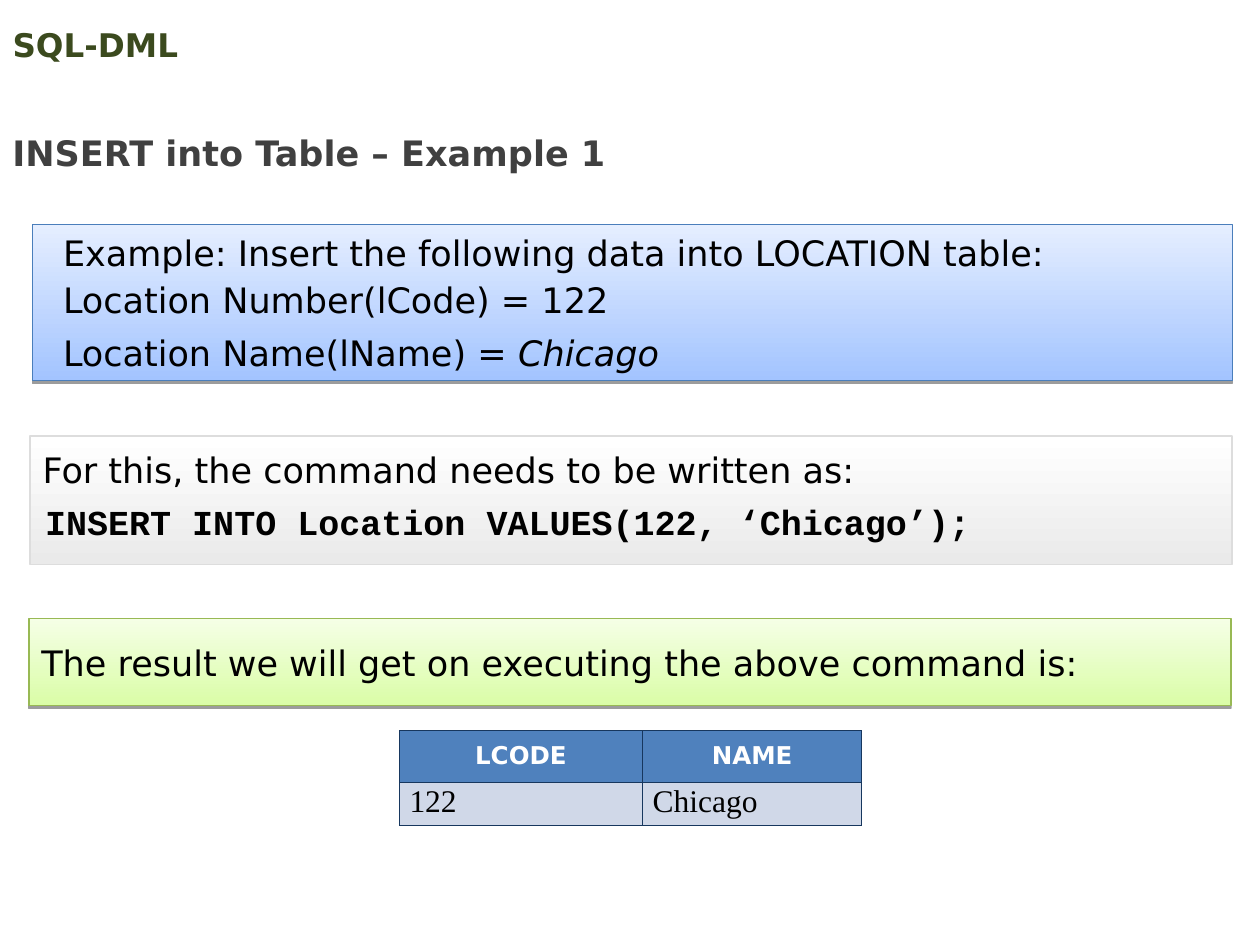
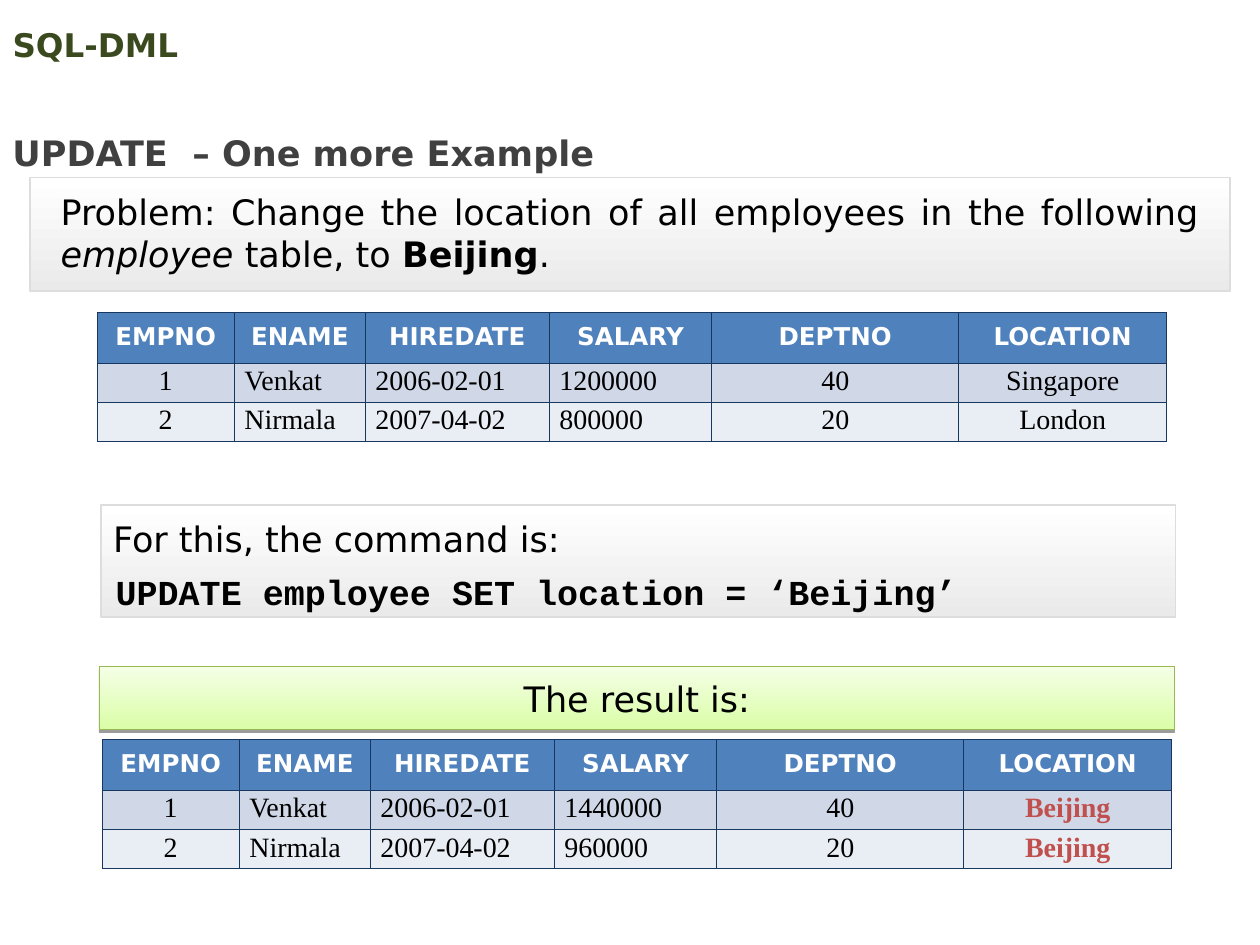
import pptx
import pptx.dml.color
import pptx.enum.shapes
import pptx.enum.text
import pptx.oxml
import pptx.oxml.ns
import pptx.util
from lxml import etree

Inches = pptx.util.Inches
Pt = pptx.util.Pt
RGBColor = pptx.dml.color.RGBColor
ALIGN = pptx.enum.text.PP_ALIGN
ANCHOR = pptx.enum.text.MSO_ANCHOR
qn = pptx.oxml.ns.qn

BLACK = RGBColor(0x00, 0x00, 0x00)
WHITE = RGBColor(0xFF, 0xFF, 0xFF)
TITLE_GREEN = RGBColor(0x3B, 0x4A, 0x1E)
SUBTITLE_GREY = RGBColor(0x40, 0x40, 0x40)
HEADER_BLUE = RGBColor(0x4F, 0x81, 0xBD)
ROW_FILLS = (RGBColor(0xD0, 0xD8, 0xE8), RGBColor(0xE9, 0xED, 0xF4))
GRID_NAVY = RGBColor(0x17, 0x37, 0x5E)
CHANGED_RED = RGBColor(0xC0, 0x50, 0x4D)

# Panel style: top colour, bottom colour, outline colour, outline width, shadow
BLUE = (RGBColor(0xE5, 0xEE, 0xFF), RGBColor(0xA3, 0xC4, 0xFF),
        RGBColor(0x4A, 0x7E, 0xBB), 0.75, True)
GREY = (WHITE, RGBColor(0xEA, 0xEA, 0xEA),
        RGBColor(0xDD, 0xDD, 0xDD), 1, False)
GREEN = (RGBColor(0xF5, 0xFF, 0xE6), RGBColor(0xDA, 0xFD, 0xA7),
         RGBColor(0x98, 0xB9, 0x54), 0.75, True)

SANS = "DejaVu Sans"
SERIF = "Times New Roman"
MONO = "Courier New"

EMPLOYEE_HEADERS = ["EMPNO", "ENAME", "HIREDATE", "SALARY", "DEPTNO", "LOCATION"]
EMPLOYEE_WIDTHS = [1.09, 1.04, 1.46, 1.29, 1.96, 1.65]
EMPLOYEE_CENTRED = (0, 4, 5)


def add_run(paragraph, text, size=20, font=SANS, color=BLACK, bold=False, italic=False):
    run = paragraph.add_run()
    run.text = text
    run.font.size = Pt(size)
    run.font.name = font
    run.font.color.rgb = color
    run.font.bold = bold
    run.font.italic = italic


def set_frame(frame, insets=(0.1, 0.05, 0.1, 0.05), anchor=ANCHOR.TOP):
    """Set wrapping, the left, top, right and bottom insets, and the anchor."""
    frame.word_wrap = True
    frame.auto_size = pptx.enum.text.MSO_AUTO_SIZE.NONE
    (frame.margin_left, frame.margin_top,
     frame.margin_right, frame.margin_bottom) = map(Inches, insets)
    frame.vertical_anchor = anchor


def format_paragraph(paragraph, align=ALIGN.LEFT, before=0, after=0, line=1.0):
    paragraph.alignment = align
    paragraph.space_before = Pt(before)
    paragraph.space_after = Pt(after)
    paragraph.line_spacing = line


def add_text(slide, box, text, line=1.0, **style):
    shape = slide.shapes.add_textbox(*map(Inches, box))
    set_frame(shape.text_frame)
    paragraph = shape.text_frame.paragraphs[0]
    format_paragraph(paragraph, line=line)
    add_run(paragraph, text, **style)


def add_heading(slide, subtitle):
    title = slide.shapes.title
    title.left, title.top, title.width, title.height = map(Inches, (0, 0.14, 9, 0.43))
    set_frame(title.text_frame, anchor=ANCHOR.MIDDLE)
    paragraph = title.text_frame.paragraphs[0]
    format_paragraph(paragraph)
    add_run(paragraph, "SQL-DML", size=18.6, color=TITLE_GREEN, bold=True)
    add_text(slide, (0, 0.83, 8.28, 0.6), subtitle, line=1.5,
             color=SUBTITLE_GREY, bold=True)


def add_panel(slide, box, look, insets, anchor, paragraphs):
    """Add a gradient box; paragraphs holds pairs of format and (text, style) runs."""
    top_color, bottom_color, line_color, line_width, has_shadow = look
    shape = slide.shapes.add_shape(
        pptx.enum.shapes.MSO_SHAPE.RECTANGLE, *map(Inches, box))
    shape.fill.gradient()
    shape.fill.gradient_angle = 270
    for stop, color in zip(shape.fill.gradient_stops, (top_color, bottom_color)):
        stop.color.rgb = color
    shape.line.color.rgb = line_color
    shape.line.width = Pt(line_width)
    shape.shadow.inherit = False
    if has_shadow:
        effects = shape._element.spPr.find(qn("a:effectLst"))
        outer = etree.SubElement(effects, qn("a:outerShdw"), blurRad="0",
                                 dist=str(Pt(1.6)), dir="5400000", rotWithShape="0")
        color = etree.SubElement(outer, qn("a:srgbClr"), val=str(BLACK))
        etree.SubElement(color, qn("a:alpha"), val="38000")
    frame = shape.text_frame
    set_frame(frame, insets, anchor)
    for index, (layout, runs) in enumerate(paragraphs):
        paragraph = frame.add_paragraph() if index else frame.paragraphs[0]
        format_paragraph(paragraph, **layout)
        for text, style in runs:
            add_run(paragraph, text, **style)


def add_caption_panel(slide, box, look, text, anchor, top_inset, align=ALIGN.LEFT):
    add_panel(slide, box, look, (0.1, top_inset, 0.1, 0), anchor,
              [({"align": align, "before": 6, "after": 6}, [(text, {})])])


def set_borders(cell):
    properties = cell._tc.get_or_add_tcPr()
    for position, side in enumerate(("a:lnL", "a:lnR", "a:lnT", "a:lnB")):
        line = etree.Element(qn(side), w=str(Pt(0.45)))
        fill = etree.SubElement(line, qn("a:solidFill"))
        etree.SubElement(fill, qn("a:srgbClr"), val=str(GRID_NAVY))
        properties.insert(position, line)


def add_data_table(slide, left, top, widths, heights, rows, size,
                   centred=(), highlighted=()):
    """Add a table whose first row is the header; highlighted columns are bold red."""
    table = slide.shapes.add_table(
        len(rows), len(widths), Inches(left), Inches(top),
        Inches(sum(widths)), Inches(sum(heights))).table
    table.first_row = table.horz_banding = False
    for column, width in zip(table.columns, widths):
        column.width = Inches(width)
    for row_index, (values, height) in enumerate(zip(rows, heights)):
        table.rows[row_index].height = Inches(height)
        is_header = row_index == 0
        for column_index, value in enumerate(values):
            cell = table.cell(row_index, column_index)
            cell.fill.solid()
            paragraph = cell.text_frame.paragraphs[0]
            is_centred = is_header or column_index in centred
            format_paragraph(paragraph, ALIGN.CENTER if is_centred else ALIGN.LEFT,
                             line=0.86)
            if is_header:
                cell.fill.fore_color.rgb = HEADER_BLUE
                cell.vertical_anchor = ANCHOR.MIDDLE
                add_run(paragraph, value, size=14, color=WHITE, bold=True)
            else:
                cell.fill.fore_color.rgb = ROW_FILLS[(row_index - 1) % 2]
                cell.margin_left = cell.margin_right = Inches(0.08)
                changed = column_index in highlighted
                add_run(paragraph, value, size=size, font=SERIF, bold=changed,
                        color=CHANGED_RED if changed else BLACK)
            set_borders(cell)


def add_employee_table(slide, left, top, salaries, locations, highlighted=()):
    rows = [EMPLOYEE_HEADERS,
            ["1", "Venkat", "2006-02-01", salaries[0], "40", locations[0]],
            ["2", "Nirmala", "2007-04-02", salaries[1], "20", locations[1]]]
    add_data_table(slide, left, top, EMPLOYEE_WIDTHS, [0.4, 0.29, 0.29], rows, 16,
                   EMPLOYEE_CENTRED, highlighted)


def build_insert_slide(slide):
    add_heading(slide, "INSERT into Table – Example 1")
    spaced = {"before": 3, "after": 3}
    add_panel(slide, (0.26, 1.78, 9.52, 1.24), BLUE, (0.24, 0, 0.24, 0), ANCHOR.MIDDLE, [
        ({"align": ALIGN.JUSTIFY},
         [("Example: Insert the following data into LOCATION table: ", {})]),
        (spaced, [("Location Number(lCode) = 122", {})]),
        (spaced, [("Location Name(lName) = ", {}), ("Chicago", {"italic": True})]),
    ])
    add_caption_panel(slide, (0.24, 3.46, 9.54, 1.02), GREY,
                      "For this, the command needs to be written as:", ANCHOR.TOP, 0.1)
    add_caption_panel(slide, (0.23, 4.91, 9.54, 0.69), GREEN,
                      "The result we will get on executing the above command is:",
                      ANCHOR.MIDDLE, 0)
    add_data_table(slide, 3.17, 5.8, [1.93, 1.74], [0.41, 0.33],
                   [["LCODE", "NAME"], ["122", "Chicago"]], 18)
    add_text(slide, (0.26, 3.92, 9.03, 0.44),
             "INSERT INTO Location VALUES(122, ‘Chicago’);", font=MONO, bold=True)


def build_update_slide(slide):
    add_heading(slide, "UPDATE  – One more Example")
    add_panel(slide, (0.24, 1.41, 9.52, 0.9), GREY, (0.24, 0.1, 0.24, 0.1), ANCHOR.TOP, [
        ({"align": ALIGN.JUSTIFY, "after": 12}, [
            ("Problem: Change the location of all employees in the following ", {}),
            ("employee ", {"italic": True}),
            ("table, to ", {}),
            ("Beijing", {"bold": True}),
            (". ", {}),
        ]),
    ])
    add_employee_table(slide, 0.77, 2.48, ("1200000", "800000"), ("Singapore", "London"))
    add_caption_panel(slide, (0.8, 4.01, 8.53, 0.89), GREY,
                      "For this, the command is:", ANCHOR.TOP, 0.1)
    add_text(slide, (0.82, 4.48, 8.1, 0.44),
             "UPDATE employee SET location = ‘Beijing’", font=MONO, bold=True)
    add_caption_panel(slide, (0.79, 5.29, 8.53, 0.5), GREEN,
                      "The result is:", ANCHOR.MIDDLE, 0, ALIGN.CENTER)
    add_employee_table(slide, 0.81, 5.87, ("1440000", "960000"), ("Beijing", "Beijing"),
                       highlighted=(5,))


def main():
    presentation = pptx.Presentation()
    presentation.slide_width = Inches(10)
    presentation.slide_height = Inches(7.5)
    title_only = presentation.slide_layouts[5]
    for build in (build_insert_slide, build_update_slide):
        build(presentation.slides.add_slide(title_only))
    presentation.save("out.pptx")


if __name__ == "__main__":
    main()
